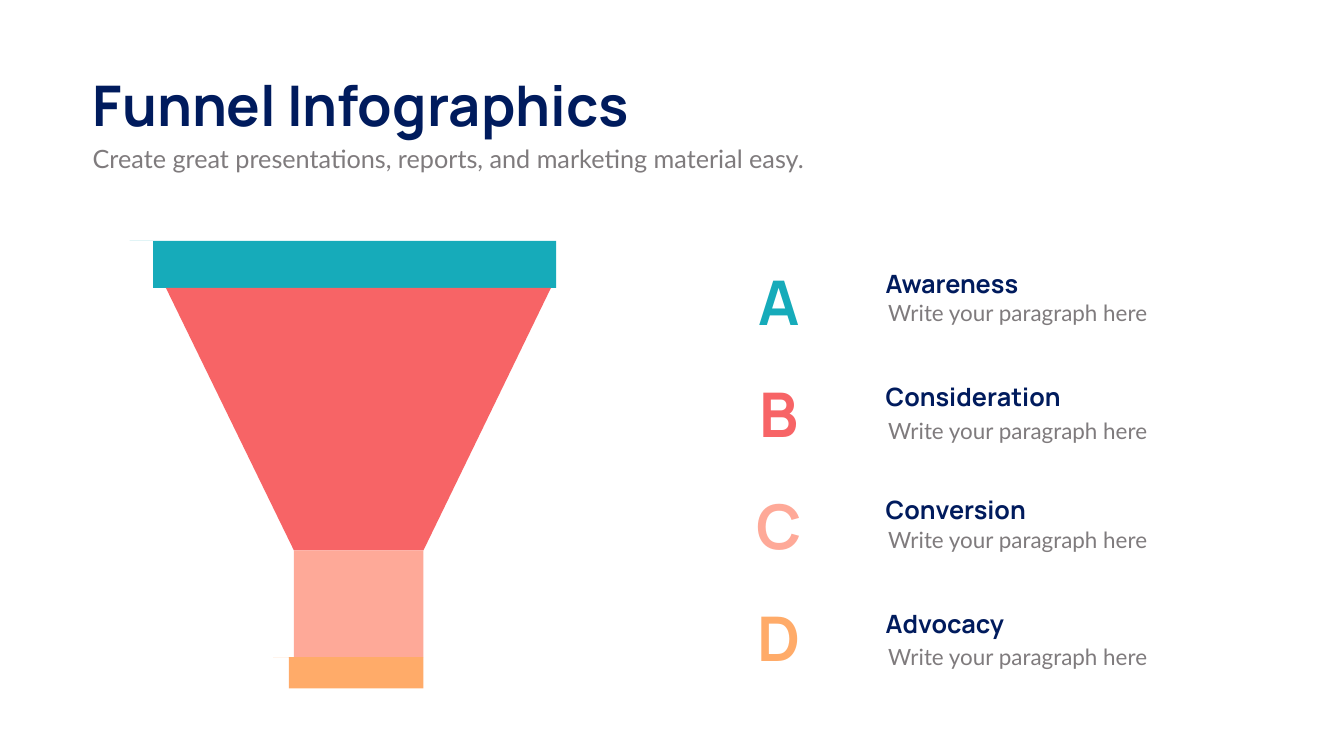
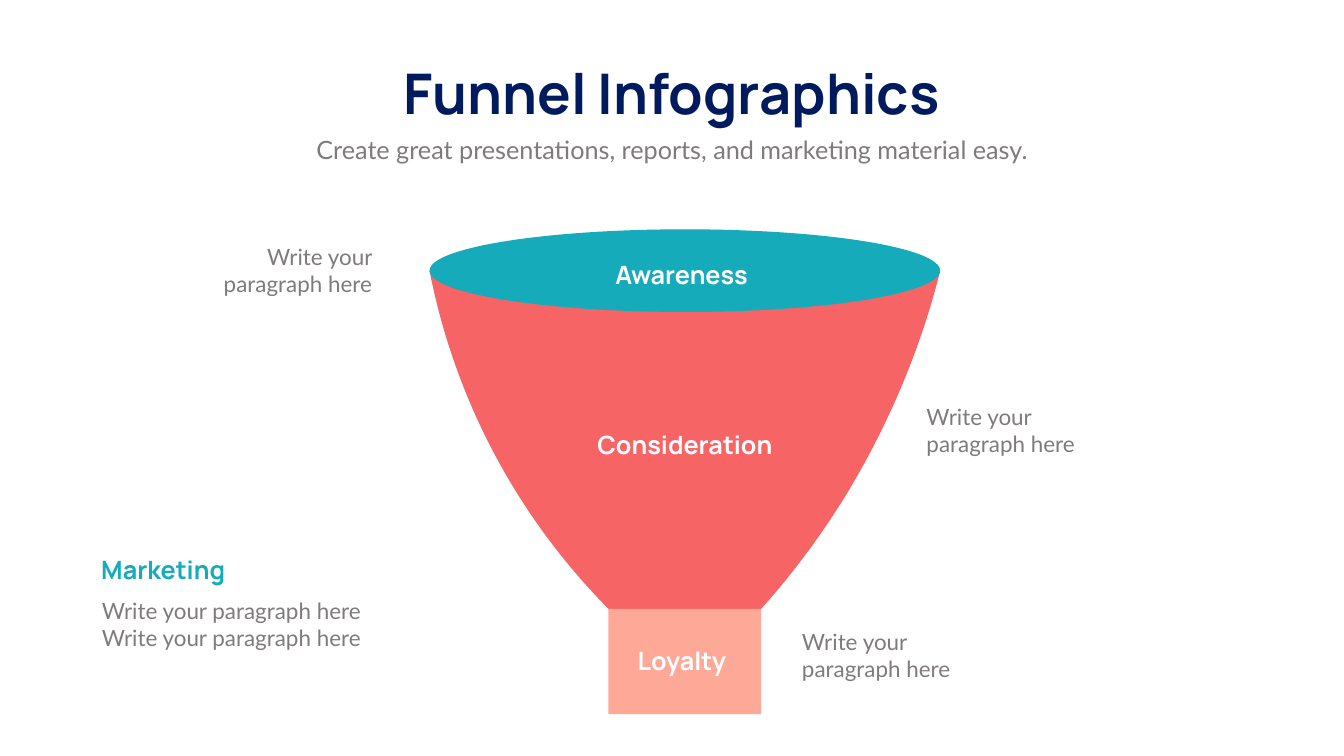
from dataclasses import dataclass

from pptx import Presentation
from pptx.dml.color import RGBColor
from pptx.enum.shapes import MSO_SHAPE
from pptx.enum.text import MSO_ANCHOR, MSO_AUTO_SIZE, PP_ALIGN
from pptx.util import Inches, Pt

# Shared look
NAVY = RGBColor(0x00, 0x1B, 0x5D)
GREY = RGBColor(0x7F, 0x7B, 0x7D)
TEAL = RGBColor(0x16, 0xAB, 0xBA)
CORAL = RGBColor(0xF7, 0x64, 0x66)
PINK = RGBColor(0xFE, 0xA9, 0x98)
ORANGE = RGBColor(0xFF, 0xAB, 0x69)
WHITE = RGBColor(0xFF, 0xFF, 0xFF)

TITLE = "Funnel Infographics"
SUBTITLE = "Create great presentations, reports, and marketing material easy."
NOTE = "Write your paragraph here"

LEFT, CENTER, RIGHT = PP_ALIGN.LEFT, PP_ALIGN.CENTER, PP_ALIGN.RIGHT

Point = tuple[float, float]


@dataclass(frozen=True)
class Style:
    font: str
    size: int
    color: RGBColor
    bold: bool = False


@dataclass(frozen=True)
class Box:
    left: float
    top: float
    width: float
    height: float

    def lengths(self) -> list[int]:
        return [Inches(v) for v in (self.left, self.top, self.width, self.height)]


@dataclass(frozen=True)
class Stage:
    letter: str
    name: str
    color: RGBColor
    name_top: float
    note_top: float


@dataclass(frozen=True)
class Label:
    text: str
    color: RGBColor
    box: Box
    align: PP_ALIGN = CENTER


@dataclass(frozen=True)
class Note:
    box: Box
    align: PP_ALIGN = LEFT
    lines: int = 1


TITLE_STYLE = Style("Manrope", 80, NAVY, True)
SUBTITLE_STYLE = Style("Lato", 36, GREY)
NOTE_STYLE = Style("Lato", 32, GREY)


def heading_style(color: RGBColor) -> Style:
    return Style("Manrope", 36, color, True)


def write(frame, lines: list[str], style: Style, align: PP_ALIGN, wrap: bool = True) -> None:
    frame.word_wrap = wrap
    frame.auto_size = MSO_AUTO_SIZE.SHAPE_TO_FIT_TEXT
    frame.vertical_anchor = MSO_ANCHOR.TOP
    for index, line in enumerate(lines):
        paragraph = frame.paragraphs[0] if index == 0 else frame.add_paragraph()
        paragraph.alignment = align
        run = paragraph.add_run()
        run.text = line
        run.font.name = style.font
        run.font.size = Pt(style.size)
        run.font.bold = style.bold
        run.font.color.rgb = style.color


def add_text(slide, lines: list[str], box: Box, style: Style, align: PP_ALIGN = LEFT) -> None:
    write(slide.shapes.add_textbox(*box.lengths()).text_frame, lines, style, align)


def paint(shape, color: RGBColor) -> None:
    shape.fill.solid()
    shape.fill.fore_color.rgb = color
    shape.line.fill.background()
    shape.shadow.inherit = False


def add_preset(slide, kind: MSO_SHAPE, box: Box, color: RGBColor) -> None:
    paint(slide.shapes.add_shape(kind, *box.lengths()), color)


def add_outline(slide, points: list[Point], color: RGBColor) -> None:
    corners = [(Inches(x), Inches(y)) for x, y in points]
    builder = slide.shapes.build_freeform(*corners[0], scale=1.0)
    builder.add_line_segments(corners[1:], close=True)
    paint(builder.convert_to_shape(), color)


def curve(p0: Point, p1: Point, p2: Point, p3: Point, steps: int = 24) -> list[Point]:
    """Points along a cubic Bezier curve."""
    def at(t: float, axis: int) -> float:
        u = 1 - t
        return (u**3 * p0[axis] + 3 * u * u * t * p1[axis]
                + 3 * u * t * t * p2[axis] + t**3 * p3[axis])
    return [(at(i / steps, 0), at(i / steps, 1)) for i in range(steps + 1)]


def add_rim(slide, tip: float, left: float, right: float, top: float, bottom: float,
            color: RGBColor) -> None:
    """Funnel band whose top edge runs out to a fine tip on the left."""
    add_outline(slide, [(tip, top), (right, top), (right, bottom),
                        (left, bottom), (left, top)], color)


def start_slide(deck, title_box: Box, subtitle_box: Box, align: PP_ALIGN):
    slide = deck.slides.add_slide(deck.slide_layouts[5])
    title = slide.shapes.title
    title.left, title.top, title.width, title.height = title_box.lengths()
    write(title.text_frame, [TITLE], TITLE_STYLE, align, wrap=False)
    add_text(slide, [SUBTITLE], subtitle_box, SUBTITLE_STYLE, align)
    return slide


def build_straight_funnel(deck) -> None:
    slide = start_slide(deck, Box(1.74, 1.35, 11.71, 1.45), Box(1.74, 2.79, 20.82, 0.71), LEFT)

    # Funnel, from rim to spout
    neck_left, neck_right, neck_top = 5.83, 8.4, 10.92
    add_rim(slide, 2.57, 3.04, 11.03, 4.78, 5.71, TEAL)
    add_outline(slide, [(3.29, 5.71), (10.93, 5.71),
                        (neck_right, neck_top), (neck_left, neck_top)], CORAL)
    add_preset(slide, MSO_SHAPE.RECTANGLE,
               Box(neck_left, neck_top, neck_right - neck_left, 2.12), PINK)
    add_rim(slide, 5.42, 5.73, 8.4, 13.04, 13.66, ORANGE)

    # Lettered legend
    stages = [
        Stage("A", "Awareness", TEAL, 5.28, 5.88),
        Stage("B", "Consideration", CORAL, 7.51, 8.22),
        Stage("C", "Conversion", PINK, 9.75, 10.39),
        Stage("D", "Advocacy", ORANGE, 12.02, 12.71),
    ]
    for row, stage in enumerate(stages):
        add_text(slide, [stage.letter], Box(14.5, 5.19 + 2.22 * row, 1.9, 1.58),
                 Style("Manrope", 88, stage.color, True), CENTER)
        add_text(slide, [stage.name], Box(17.47, stage.name_top, 5.51, 0.71),
                 heading_style(NAVY))
        add_text(slide, [NOTE], Box(17.52, stage.note_top, 5.85, 0.64), NOTE_STYLE)


def build_curved_funnel(deck) -> None:
    slide = start_slide(deck, Box(7.47, 1.12, 11.71, 1.45), Box(2.92, 2.61, 20.82, 0.71), CENTER)

    # Bowl, spout and mouth
    bowl = [
        *curve((12.07, 12.08), (11.06, 11.06), (10.23, 9.89), (9.6, 8.6)),
        *curve((9.6, 8.6), (9.1, 7.57), (8.74, 6.49), (8.52, 5.37)),
        *curve((18.65, 5.37), (18.37, 6.5), (17.96, 7.59), (17.44, 8.63)),
        *curve((17.44, 8.63), (16.82, 9.88), (16.03, 11.04), (15.1, 12.08)),
    ]
    add_outline(slide, bowl, CORAL)
    add_preset(slide, MSO_SHAPE.RECTANGLE, Box(12.07, 12.08, 3.03, 2.09), PINK)
    add_preset(slide, MSO_SHAPE.OVAL, Box(8.52, 4.55, 10.13, 1.64), TEAL)

    # Stage names
    labels = [
        Label("Consideration", WHITE, Box(10.69, 8.46, 5.79, 0.71)),
        Label("Awareness", WHITE, Box(8.58, 5.1, 9.88, 0.71)),
        Label("Loyalty", WHITE, Box(12.44, 12.75, 2.17, 0.71)),
        Label("Marketing", TEAL, Box(1.91, 10.94, 2.99, 0.71), LEFT),
    ]
    for label in labels:
        add_text(slide, [label.text], label.box, heading_style(label.color), label.align)

    # Notes around the funnel
    notes = [
        Note(Box(3.65, 4.77, 3.83, 1.18), RIGHT),
        Note(Box(18.28, 7.95, 3.83, 1.18)),
        Note(Box(15.81, 12.42, 3.83, 1.18)),
        Note(Box(1.92, 11.8, 6.29, 1.18), lines=2),
    ]
    for note in notes:
        add_text(slide, [NOTE] * note.lines, note.box, NOTE_STYLE, note.align)


def main() -> None:
    deck = Presentation()
    deck.slide_width, deck.slide_height = Inches(26.66), Inches(15)
    build_straight_funnel(deck)
    build_curved_funnel(deck)
    deck.save("out.pptx")


if __name__ == "__main__":
    main()
